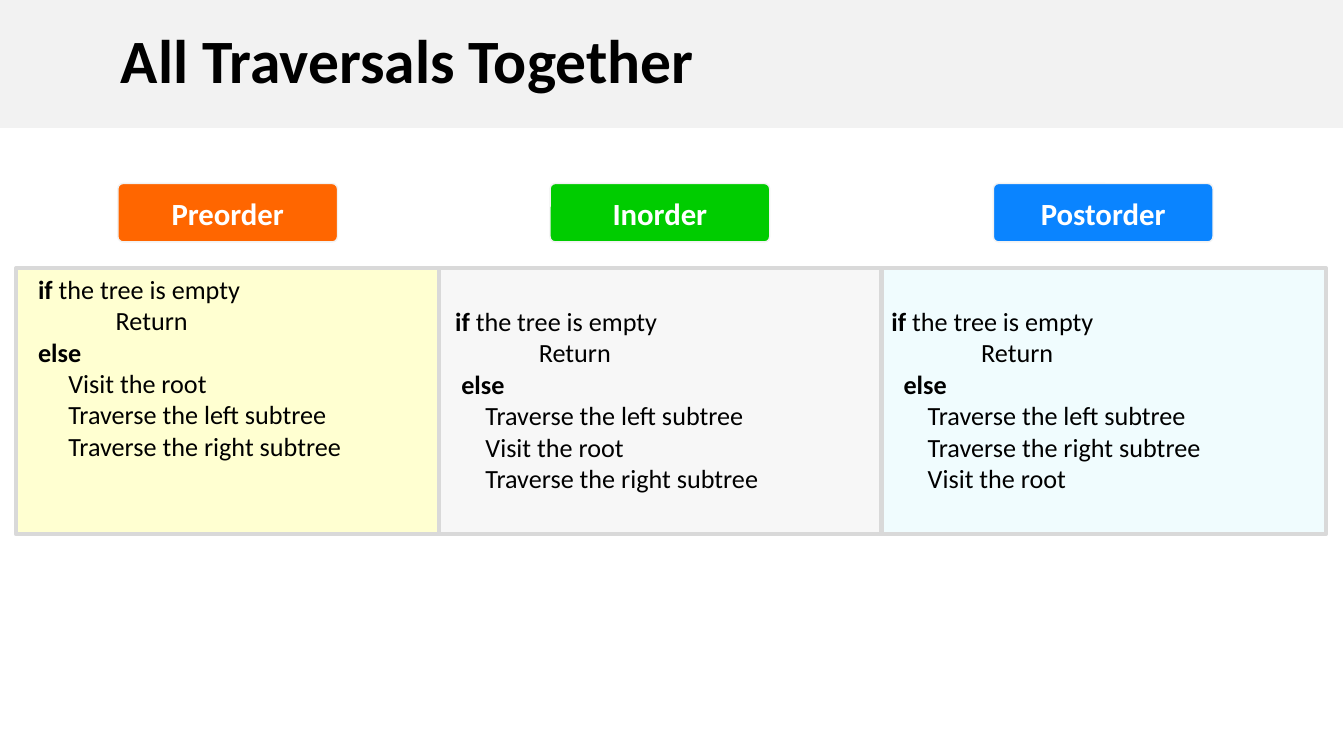
"""Build a slide that sets the three tree traversals side by side."""
from dataclasses import dataclass

from pptx import Presentation
from pptx import util as u
from pptx.dml.color import RGBColor
from pptx.enum import shapes, text

PX = 9144
FONT = "Calibri"
BLACK = RGBColor(0x00, 0x00, 0x00)
WHITE = RGBColor(0xFF, 0xFF, 0xFF)
PALE = RGBColor(0xF2, 0xF2, 0xF2)
EDGE = RGBColor(0xD9, 0xD9, 0xD9)
ORANGE = RGBColor(0xFF, 0x66, 0x00)
GREEN = RGBColor(0x00, 0xCC, 0x00)
BLUE = RGBColor(0x0A, 0x84, 0xFF)
CREAM = RGBColor(0xFF, 0xFF, 0xD1)
GREY = RGBColor(0xF7, 0xF7, 0xF7)
ICE = RGBColor(0xF0, 0xFC, 0xFE)

ROOT = "Visit the root"
LEFT = "Traverse the left subtree"
RIGHT = "Traverse the right subtree"


@dataclass(frozen=True)
class Order:
    """One traversal: its badge, its panel and its steps."""
    name: str
    hue: RGBColor
    tint: RGBColor
    badge: int
    left: int
    width: int
    top: int
    start: int
    inner: int
    steps: tuple[str, ...]


ORDERS = (
    Order("Preorder", ORANGE, CREAM, 117, 16, 420, 5, 12, 42, (ROOT, LEFT, RIGHT)),
    Order("Inorder", GREEN, GREY, 546, 436, 439, 37, 6, 36, (LEFT, ROOT, RIGHT)),
    Order("Postorder", BLUE, ICE, 986, 875, 441, 37, 0, 36, (LEFT, RIGHT, ROOT)),
)


def px(num: int) -> u.Emu:
    """Turn px into EMU."""
    return u.Emu(num * PX)


def add_run(para, words: str, size: float, color: RGBColor, bold: bool) -> None:
    """Add one formatted run."""
    run = para.add_run()
    run.text = words
    font = run.font
    font.name, font.size, font.bold = FONT, u.Pt(size), bold
    font.color.rgb = color


def add_box(slide, kind, box: tuple[int, ...], fill: RGBColor, edge: RGBColor, line: int):
    """Add a filled, outlined shape."""
    shape = slide.shapes.add_shape(kind, *map(px, box))
    shape.shadow.inherit = False
    shape.fill.solid()
    shape.fill.fore_color.rgb = fill
    shape.line.color.rgb = edge
    shape.line.width = u.Pt(line)
    return shape


def add_title(slide, words: str) -> None:
    """Place and format the title bar."""
    title = slide.shapes.title
    title.left, title.top, title.width, title.height = map(px, (0, 0, 1333, 127))
    title.fill.solid()
    title.fill.fore_color.rgb = PALE
    frame = title.text_frame
    frame.margin_left = px(120)
    frame.vertical_anchor = text.MSO_ANCHOR.MIDDLE
    para = frame.paragraphs[0]
    para.alignment = text.PP_ALIGN.LEFT
    para.line_spacing = 0.9
    add_run(para, words, 44, BLACK, True)


def add_panel(slide, order: Order) -> None:
    """Add the panel with the steps of a traversal."""
    box = (order.left, 266, order.width, 264)
    frame = add_box(slide, shapes.MSO_SHAPE.RECTANGLE, box, order.tint, EDGE, 3).text_frame
    frame.word_wrap = True
    frame.vertical_anchor = text.MSO_ANCHOR.TOP
    frame.margin_top = px(order.top)
    lines = [
        (order.start, "if ", "the tree is empty"),
        (89, "", "Return"),
        (12, "else", ""),
        *((order.inner, "", step) for step in order.steps),
    ]
    for idx, (indent, key, rest) in enumerate(lines):
        para = frame.add_paragraph() if idx else frame.paragraphs[0]
        para.alignment = text.PP_ALIGN.LEFT
        para._p.get_or_add_pPr().set("marL", str(px(indent)))
        for words, bold in ((key, True), (rest, False)):
            if words:
                add_run(para, words, 18.7, BLACK, bold)


def add_badge(slide, order: Order) -> None:
    """Add the coloured name of a traversal."""
    box = (order.badge, 182, 218, 58)
    badge = add_box(slide, shapes.MSO_SHAPE.ROUNDED_RECTANGLE, box, order.hue, PALE, 1)
    badge.adjustments[0] = 0.09
    frame = badge.text_frame
    frame.vertical_anchor = text.MSO_ANCHOR.MIDDLE
    para = frame.paragraphs[0]
    para.alignment = text.PP_ALIGN.CENTER
    add_run(para, order.name, 22, WHITE, True)


def main() -> None:
    """Build and save the slide."""
    deck = Presentation()
    deck.slide_width, deck.slide_height = px(1334), px(750)
    slide = deck.slides.add_slide(deck.slide_layouts[5])
    add_title(slide, "All Traversals Together")
    for order in reversed(ORDERS):
        add_panel(slide, order)
    for order in ORDERS:
        add_badge(slide, order)
    deck.save("out.pptx")


if __name__ == "__main__":
    main()
